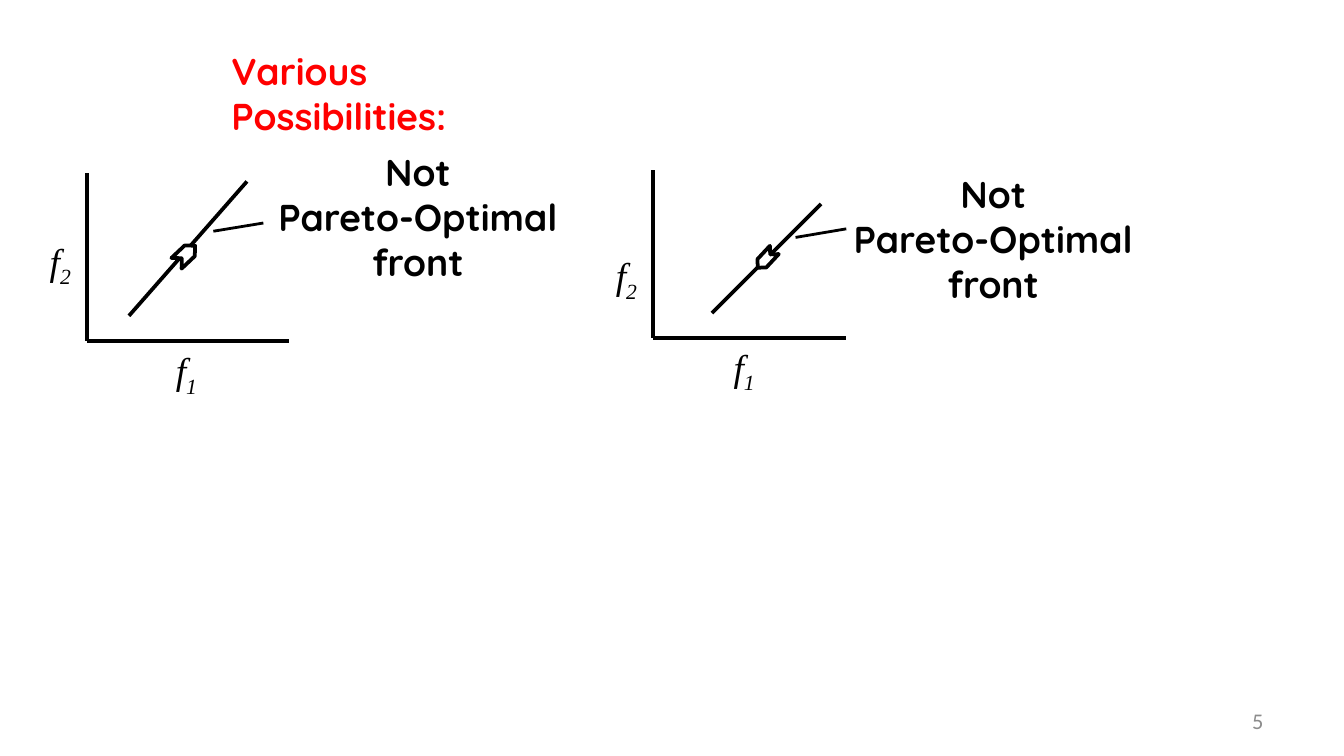
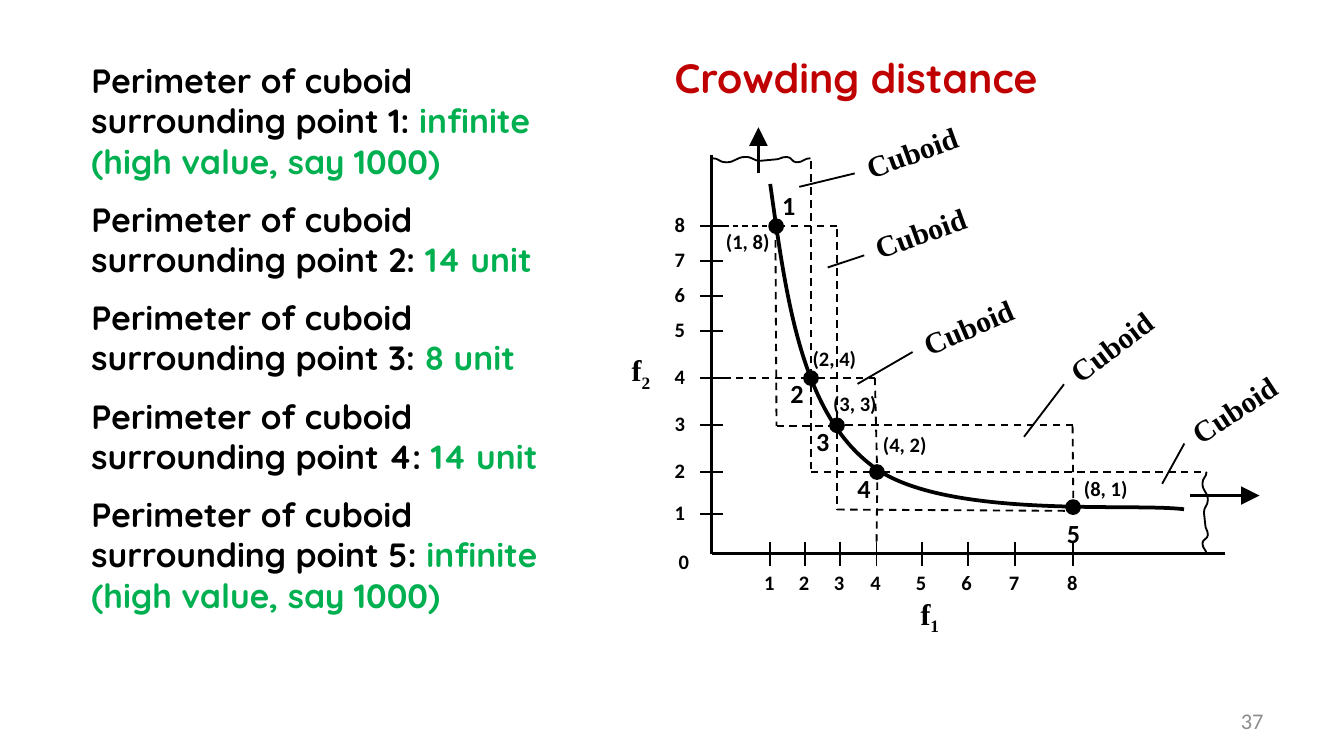
from pptx import Presentation
from pptx.dml.color import RGBColor
from pptx.enum.dml import MSO_LINE as Dash
from pptx.enum.shapes import MSO_CONNECTOR as Link, MSO_SHAPE as Form
from pptx.enum.text import MSO_ANCHOR as Anchor, PP_ALIGN as Align
from pptx.oxml.ns import qn
from pptx.util import Pt
from lxml.etree import SubElement as Sub

SANS, SERIF, HEAD = "Calibri", "Times New Roman", "Quicksand"
BLACK, WHITE, RED, DARK = "000000", "FFFFFF", "FF0000", "C00000"
GREEN, GREY = "00B050", "8C8C8C"
hue = RGBColor.from_string


def write(slide, box, text, size, face, tint=BLACK, bold=True, low="", title=False):
    """Put text in a box or in the title, with an optional subscript."""
    if title:
        shape = slide.shapes.title
        shape.left, shape.top, shape.width, shape.height = map(Pt, box)
    else:
        shape = slide.shapes.add_textbox(*map(Pt, box))
    frame = shape.text_frame
    frame.text = text
    frame.word_wrap = False
    frame.vertical_anchor = Anchor.TOP
    if low:
        frame.paragraphs[0].add_run().text = low
    for para in frame.paragraphs:
        para.alignment = Align.LEFT
        for run in para.runs:
            font = run.font
            font.size, font.name, font.bold = Pt(size), face, bold
            font.color.rgb = hue(tint)
            if low and run.text == low:
                run._r.get_or_add_rPr().set("baseline", "-25000")
    return shape


def draw(slide, ends, width=1, dash=False, arrow=False):
    """Draw a black straight line, dashed or with an arrowhead if asked."""
    link = slide.shapes.add_connector(Link.STRAIGHT, *map(Pt, ends))
    link.line.width = Pt(width)
    link.line.color.rgb = hue(BLACK)
    if dash:
        link.line.dash_style = Dash.DASH
    if arrow:
        Sub(link.line._get_or_add_ln(), qn("a:tailEnd"), type="triangle", w="lg", len="lg")
    Sub(link._element.spPr, qn("a:effectLst"))


deck = Presentation()
deck.slide_width, deck.slide_height = Pt(720), Pt(405)
fronts, crowd = [deck.slides.add_slide(deck.slide_layouts[5]) for _ in range(2)]
for slide, page in ((fronts, "5"), (crowd, "37")):
    foot = write(slide, (516.2, 375.1, 167.8, 21.6), page, 12, SANS, GREY, False)
    foot.text_frame.word_wrap = True
    foot.text_frame.vertical_anchor = Anchor.MIDDLE
    foot.text_frame.paragraphs[0].alignment = Align.RIGHT

# Slide 1: two fronts that are not Pareto-optimal
head = write(fronts, (116.8, 22.3, 205.2, 31.7), "Various Possibilities:",
             20, HEAD, RED, title=True)
head.text_frame.word_wrap = True

# corner, axis length, front, leader, chevron, its turn, f2, f1, caption
plots = [
    ((46.8, 182.7), 108, (69.1, 169.2, 132.3, 97.2), (114.3, 123.9, 141.1, 119.5),
     (92.7, 132.4, 13.7, 7.9), 316.6, (19.6, 123.9), (87.1, 182.7), (141.8, 76.3)),
    ((350, 181.2), 103.4, (439.9, 109.3, 381.4, 167.7), (426.2, 127.2, 453.4, 122.6),
     (403.9, 135.4, 13, 6.5), 133, (322.8, 131.8), (385.9, 180.7), (450, 88.3)),
]
for (x, y), reach, front, lead, mark, turn, up, side, note in plots:
    draw(fronts, (x, y - 90, x, y), 2)
    draw(fronts, (x, y, x + reach, y), 2)
    draw(fronts, front, 2)
    draw(fronts, lead, 1.5)
    tip = fronts.shapes.add_shape(Form.CHEVRON, *map(Pt, mark))
    tip.rotation = turn
    tip.shadow.inherit = False
    tip.fill.solid()
    tip.fill.fore_color.rgb = hue(WHITE)
    tip.line.color.rgb = hue(BLACK)
    tip.line.width = Pt(2)
    for spot, low in ((up, "2"), (side, "1")):
        name = write(fronts, (*spot, 26.6, 31.7), "f", 20, SERIF, bold=False, low=low)
        for run in name.text_frame.paragraphs[0].runs:
            run.font.italic = True
    label = write(fronts, (*note, 164.2, 79.9), "Not\nPareto-Optimal\nfront", 20, HEAD)
    for para in label.text_frame.paragraphs:
        para.alignment = Align.CENTER

# Slide 2: crowding distance
write(crowd, (354.2, 24.5, 218.2, 33.8), "Crowding distance", 22, HEAD, DARK, title=True)
sizes = ["infinite (high value, say 1000)", "14 unit", "8 unit", "14 unit",
         "infinite (high value, say 1000)"]
lines = [f"Perimeter of cuboid surrounding point {n}: " for n in range(1, 6)]
body = write(crowd, (41.9, 28.6, 286.6, 315.4), "\n".join(lines), 18, HEAD).text_frame
body.word_wrap = True
for n, (para, size) in enumerate(zip(body.paragraphs, sizes)):
    para.space_before = Pt(9.5 if n else 0)
    run = para.add_run()
    run.text = size
    run.font.size, run.font.name, run.font.bold = Pt(18), HEAD, True
    run.font.color.rgb = hue(GREEN)

# Axes, ticks and their numbers
draw(crowd, (381.4, 83.3, 381.4, 296.7), 1.5)
draw(crowd, (381.4, 296.7, 656.1, 296.7), 1.5)
draw(crowd, (406.3, 92.9, 406.3, 68.2), 1.5, arrow=True)
draw(crowd, (637.4, 265.5, 674.8, 265.5), 1.5, arrow=True)
cols = [412.6, 431.3, 450, 469.6, 493.9, 518.4, 543.8, 575]
rows = [275.2, 252.7, 227.6, 202.4, 177.3, 158.4, 139.7, 121]
marks = [("0", 356.4, 290.4)]
for n, (x, y) in enumerate(zip(cols, rows), 1):
    draw(crowd, (x, 290.2, x, 303.1))
    draw(crowd, (375.1, y, 387.4, y))
    marks += [(str(n), x - 10.4, 302.1), (str(n), 354.3, y - 10.8)]
for text, x, y in marks:
    write(crowd, (x, y, 20.9, 21.6), text, 11, SANS)
write(crowd, (331.3, 185, 26.6, 28.1), "f", 16, SERIF, low="2")
write(crowd, (486.1, 315.4, 26.6, 28.1), "f", 16, SERIF, low="1")

# Cuboid edges
draw(crowd, (387.4, 121, 415.4, 121), 0.75, dash=True)
edges = [
    (434.4, 201.6, 434.4, 84.2), (387.4, 202.4, 431.3, 202.4),
    (415.4, 121.7, 416, 228.2), (416, 228.2, 445, 228.2),
    (448.5, 231.1, 448.5, 121), (448.5, 121, 419, 121),
    (434.4, 205.9, 434.4, 252.7), (434.4, 252.7, 466.6, 252.7),
    (437.8, 202.4, 468.7, 202.4), (468.7, 202.4, 470, 256.3),
    (448.5, 231.1, 448.5, 273), (448.5, 273, 573.1, 273.7),
    (452.9, 227.6, 574.6, 227.6), (574.6, 228.2, 575, 268.6),
    (473, 252.7, 643.7, 252.7), (469.6, 290.2, 470, 256.3),
]
for edge in edges:
    draw(crowd, edge, dash=True)

# Cubic curves: the front, and one wave laid along both torn ends
curve = [(412.6, 98.6), (421.2, 159.8), (429.1, 220.3), (466.6, 249.1),
         (503.3, 278.6), (606.2, 269.3), (634.3, 272.9)]
bends = [(0, 0), (0.14, 2.2), (0.34, -0.7), (0.49, 1.4), (0.63, 0.7),
         (0.76, -0.7), (0.86, 2.2), (1, 0)]
wave = bends[:1]
for (a, b), (c, d) in zip(bends, bends[1:]):
    wave += [((a + c) / 2, b), ((a + c) / 2, d), (c, d)]
top = [(381.6 + 52.6 * a, 84.8 + b) for a, b in wave]
side = [(646.4 - b, 252.7 + 44.6 * a) for a, b in wave]
for trail, width in ((curve, 2), (top, 1), (side, 1)):
    dots = [(Pt(x), Pt(y)) for x, y in trail]
    pen = crowd.shapes.build_freeform(*dots[0], scale=1.0)
    pen.add_line_segments(dots[1:], close=False)
    shape = pen.convert_to_shape()
    shape.shadow.inherit = False
    shape.fill.background()
    shape.line.color.rgb = hue(BLACK)
    shape.line.width = Pt(width)
    route = next(shape._element.iter(qn("a:path")))
    steps = route.findall(qn("a:lnTo"))
    for n in range(0, len(steps), 3):
        bend = Sub(route, qn("a:cubicBezTo"))
        for step in steps[n:n + 3]:
            bend.append(step[0])
            route.remove(step)

# dot centre, value, its place, place of the number, cuboid label, turn, leader
points = [
    ((415.8, 121.2), "(1, 8)", (381.8, 119.1), (411.9, 97.9),
     (456.3, 67.5), 340.1, (428.2, 100.1, 457.9, 92.9)),
    ((434.5, 202.6), "(2, 4)", (428.2, 181.6), (416.3, 198.7),
     (460.8, 110.7), 340.1, (443.4, 143.3, 463, 136.8)),
    ((448.4, 227.9), "(3, 3)", (439.2, 205.9), (430.1, 224.6),
     (486.5, 161.1), 336.9, (459.4, 205.7, 488.9, 188.6)),
    ((469.8, 252.9), "(4, 2)", (465.9, 227.8), (452.2, 249.8),
     (563, 171.4), 323.1, (548.6, 234, 570, 205.9)),
    ((574.9, 271.7), "(8, 1)", (573.6, 251.3), (564.5, 273.6),
     (628.8, 205.1), 326.8, (622.6, 259.2, 634.5, 237.6)),
]
for n, ((x, y), pair, near, spot, tag, turn, lead) in enumerate(points, 1):
    dot = crowd.shapes.add_shape(Form.OVAL, Pt(x - 3.2), Pt(y - 3.2), Pt(6.4), Pt(6.4))
    dot.shadow.inherit = False
    dot.fill.solid()
    dot.fill.fore_color.rgb = hue(BLACK)
    dot.line.color.rgb = hue(BLACK)
    dot.line.width = Pt(2)
    write(crowd, (*near, 39.6, 21.6), pair, 11, SANS)
    write(crowd, (*spot, 21.6, 24.5), str(n), 14, SANS)
    write(crowd, (*tag, 68.4, 28.1), "Cuboid", 16, SERIF).rotation = turn
    draw(crowd, lead)

deck.save("out.pptx")
